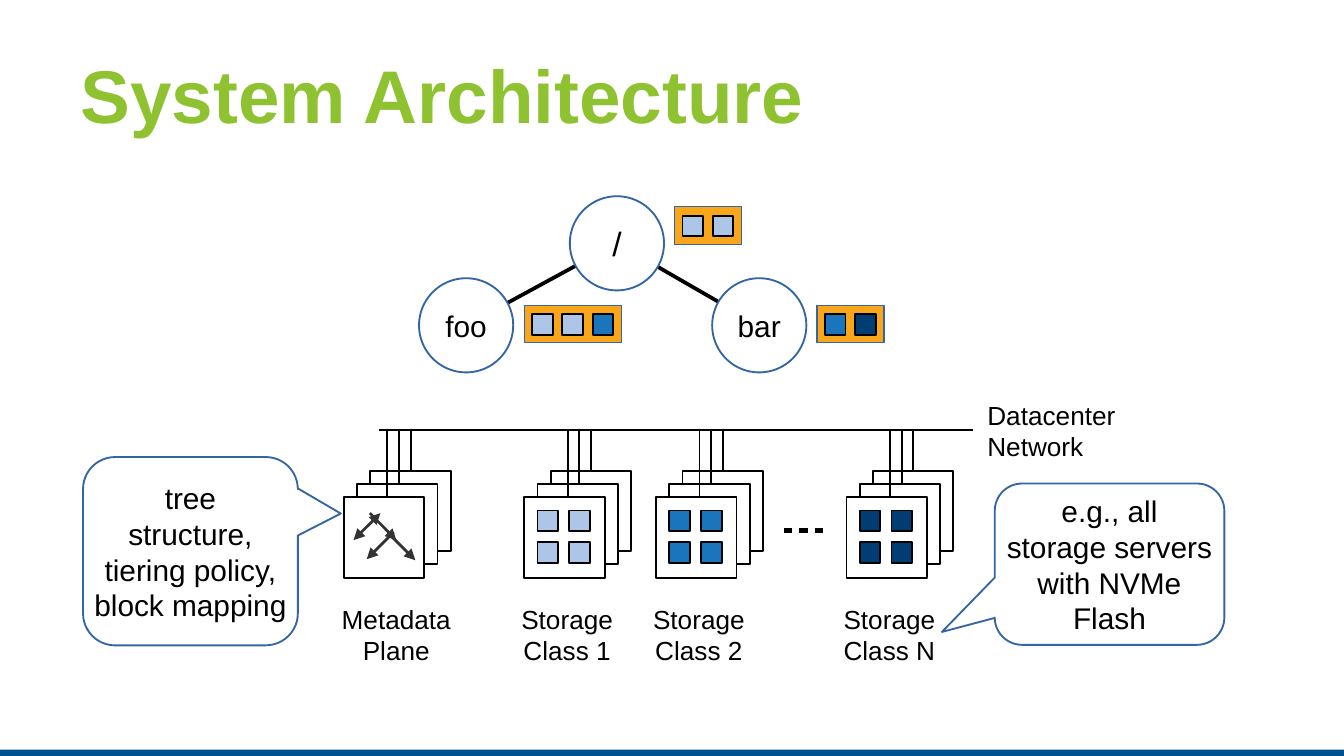
"""Build the System Architecture slide: a file tree above the storage cluster that holds it."""
from lxml import etree
from pptx import Presentation
from pptx.dml.color import RGBColor
from pptx.enum.shapes import MSO_CONNECTOR, MSO_SHAPE
from pptx.enum.text import MSO_ANCHOR, PP_ALIGN
from pptx.oxml.ns import qn
from pptx.util import Cm, Pt

RECTANGLE, OVAL = MSO_SHAPE.RECTANGLE, MSO_SHAPE.OVAL
CALLOUT = MSO_SHAPE.ROUNDED_RECTANGULAR_CALLOUT
STRAIGHT = MSO_CONNECTOR.STRAIGHT
LEFT, CENTER, MIDDLE, TOP = PP_ALIGN.LEFT, PP_ALIGN.CENTER, MSO_ANCHOR.MIDDLE, MSO_ANCHOR.TOP

BLACK, WHITE, GREEN, NAVY, OUTLINE = "000000", "FFFFFF", "8FC230", "00508F", "3465A4"
ORANGE, GRAY = "FAA61A", "333333"
CLASS_1, CLASS_2, CLASS_N = "ADC5E7", "1B75BC", "003D73"

NODE_SIZE, CARD_SIZE, CHIP_SIZE = 1.78, 1.52, 0.39
CARD_TOP, CARD_STEP, DROP_STEP = 9.4, 0.25, 0.22
ROW_PITCH, GRID_PITCH, ROW_HEIGHT = 0.57, 0.6, 0.71
BUS_LEFT, BUS_RIGHT, BUS_TOP = 7.16, 18.39, 8.13
LABEL_TOP, LABEL_WIDTH, LABEL_HEIGHT = 11.28, 3, 1.37

NODES = [("/", 10.77, 3.71, 18), ("foo", 7.92, 5.26, 16), ("bar", 13.46, 5.26, 16)]
BLOCK_ROWS = [
    (12.75, 3.91, [CLASS_1, CLASS_1]),
    (9.91, 5.77, [CLASS_1, CLASS_1, CLASS_2]),
    (15.44, 5.77, [CLASS_2, CLASS_N]),
]
STACKS = [
    (6.5, 7.49, ["Metadata", "Plane"], None),
    (9.91, 10.72, ["Storage", "Class 1"], CLASS_1),
    (12.4, 13.21, ["Storage", "Class 2"], CLASS_2),
    (16, 16.81, ["Storage", "Class N"], CLASS_N),
]
TREE_ARROWS = [
    (7.19, 9.7, 6.68, 10.21, ["headEnd", "tailEnd"]),
    (7.49, 10.21, 6.99, 9.7, ["headEnd"]),
    (7.85, 10.59, 7.34, 10.08, ["headEnd"]),
    (7.44, 10.06, 6.93, 10.57, ["tailEnd"]),
]
CALLOUTS = [
    (18.8, 9.14, 4.34, 3.05, (-0.73, 0.42, 0.17),
     ["e.g., all", "storage servers", "with NVMe", "Flash"]),
    (1.57, 8.64, 4.06, 3.56, (0.7, -0.2, 0.17),
     ["tree", "structure,", "tiering policy,", "block mapping"]),
]


def color(value):
    return RGBColor.from_string(value)


def write(shape, lines, size, text_color=BLACK, align=CENTER, anchor=MIDDLE, bold=False, wrap=True):
    frame = shape.text_frame
    frame.text = "\n".join(lines)
    frame.word_wrap = wrap
    frame.vertical_anchor = anchor
    for paragraph in frame.paragraphs:
        paragraph.alignment = align
        paragraph.font.name = "Arial"
        paragraph.font.size = Pt(size)
        paragraph.font.bold = bold
        paragraph.font.color.rgb = color(text_color)


def add_box(slide, kind, left, top, width, height, fill, line=BLACK, weight=1):
    shape = slide.shapes.add_shape(kind, Cm(left), Cm(top), Cm(width), Cm(height))
    shape.shadow.inherit = False
    shape.fill.solid()
    shape.fill.fore_color.rgb = color(fill)
    if line:
        shape.line.color.rgb = color(line)
        shape.line.width = Pt(weight)
    else:
        shape.line.fill.background()
    return shape


def add_label(slide, left, top, lines, align):
    box = slide.shapes.add_textbox(Cm(left), Cm(top), Cm(LABEL_WIDTH), Cm(LABEL_HEIGHT))
    write(box, lines, 14, align=align, anchor=TOP)


def add_line(slide, x1, y1, x2, y2, weight=1, line=BLACK, ends=(), dashed=False):
    connector = slide.shapes.add_connector(STRAIGHT, Cm(x1), Cm(y1), Cm(x2), Cm(y2))
    connector.line.color.rgb = color(line)
    connector.line.width = Pt(weight)
    properties = connector.line._get_or_add_ln()
    if dashed:
        pattern = etree.SubElement(properties, qn("a:custDash"))
        etree.SubElement(pattern, qn("a:ds"), d="200000", sp="160000")
    for end in ends:
        etree.SubElement(properties, qn("a:" + end), type="triangle")
    etree.SubElement(connector._element.spPr, qn("a:effectLst"))
    return connector


def add_chip(slide, left, top, fill):
    add_box(slide, RECTANGLE, left, top, CHIP_SIZE, CHIP_SIZE, fill)


def add_tree(slide):
    radius = NODE_SIZE / 2
    root_left, root_top = NODES[0][1:3]
    for _, left, top, _ in NODES[1:]:
        add_line(slide, root_left + radius, root_top + radius, left + radius, top + radius, 0)
    for name, left, top, size in NODES:
        node = add_box(slide, OVAL, left, top, NODE_SIZE, NODE_SIZE, WHITE, OUTLINE)
        write(node, [name], size, wrap=False)
    for left, top, chips in BLOCK_ROWS:
        width = ROW_PITCH * len(chips) + 0.13
        add_box(slide, RECTANGLE, left, top, width, ROW_HEIGHT, ORANGE, OUTLINE, 0)
        for index, fill in enumerate(chips):
            add_chip(slide, left + 0.15 + index * ROW_PITCH, top + 0.17, fill)


def add_stack(slide, left, label_center, label, fill):
    back_drop = left + 2 * CARD_STEP + CARD_SIZE / 2
    for depth in (2, 1, 0):
        top = CARD_TOP - depth * CARD_STEP
        card = add_box(slide, RECTANGLE, left + depth * CARD_STEP, top, CARD_SIZE, CARD_SIZE, WHITE)
        drop = back_drop - (2 - depth) * DROP_STEP
        connector = add_line(slide, drop, BUS_TOP, drop, top)
        if depth == 2:
            connector.end_connect(card, 0)
    if fill:
        for index in range(4):
            row, column = divmod(index, 2)
            add_chip(slide, left + 0.25 + column * GRID_PITCH,
                     CARD_TOP + 0.25 + row * GRID_PITCH, fill)
    add_label(slide, label_center - LABEL_WIDTH / 2, LABEL_TOP, label, CENTER)


def main():
    presentation = Presentation()
    presentation.slide_width, presentation.slide_height = Cm(25.4), Cm(14.29)
    slide = presentation.slides.add_slide(presentation.slide_layouts[5])
    add_box(slide, RECTANGLE, 0, 14.17, 25.4, 0.12, NAVY, None)

    title = slide.shapes.title
    title.left, title.top, title.width, title.height = Cm(1.27), Cm(0.58), Cm(23.37), Cm(2.39)
    write(title, ["System Architecture"], 40, GREEN, LEFT, bold=True)

    add_tree(slide)
    add_line(slide, BUS_LEFT, BUS_TOP, BUS_RIGHT, BUS_TOP)
    add_label(slide, 18.41, 7.42, ["Datacenter", "Network"], LEFT)
    for stack in STACKS:
        add_stack(slide, *stack)
    for x1, y1, x2, y2, ends in TREE_ARROWS:
        add_line(slide, x1, y1, x2, y2, 1.45, GRAY, ends)
    add_line(slide, 14.81, 10.03, 15.57, 10.03, 2.3, dashed=True)
    for left, top, width, height, adjustments, lines in CALLOUTS:
        callout = add_box(slide, CALLOUT, left, top, width, height, WHITE, OUTLINE)
        for index, value in enumerate(adjustments):
            callout.adjustments[index] = value
        write(callout, lines, 16, wrap=False)

    presentation.save("out.pptx")


if __name__ == "__main__":
    main()
